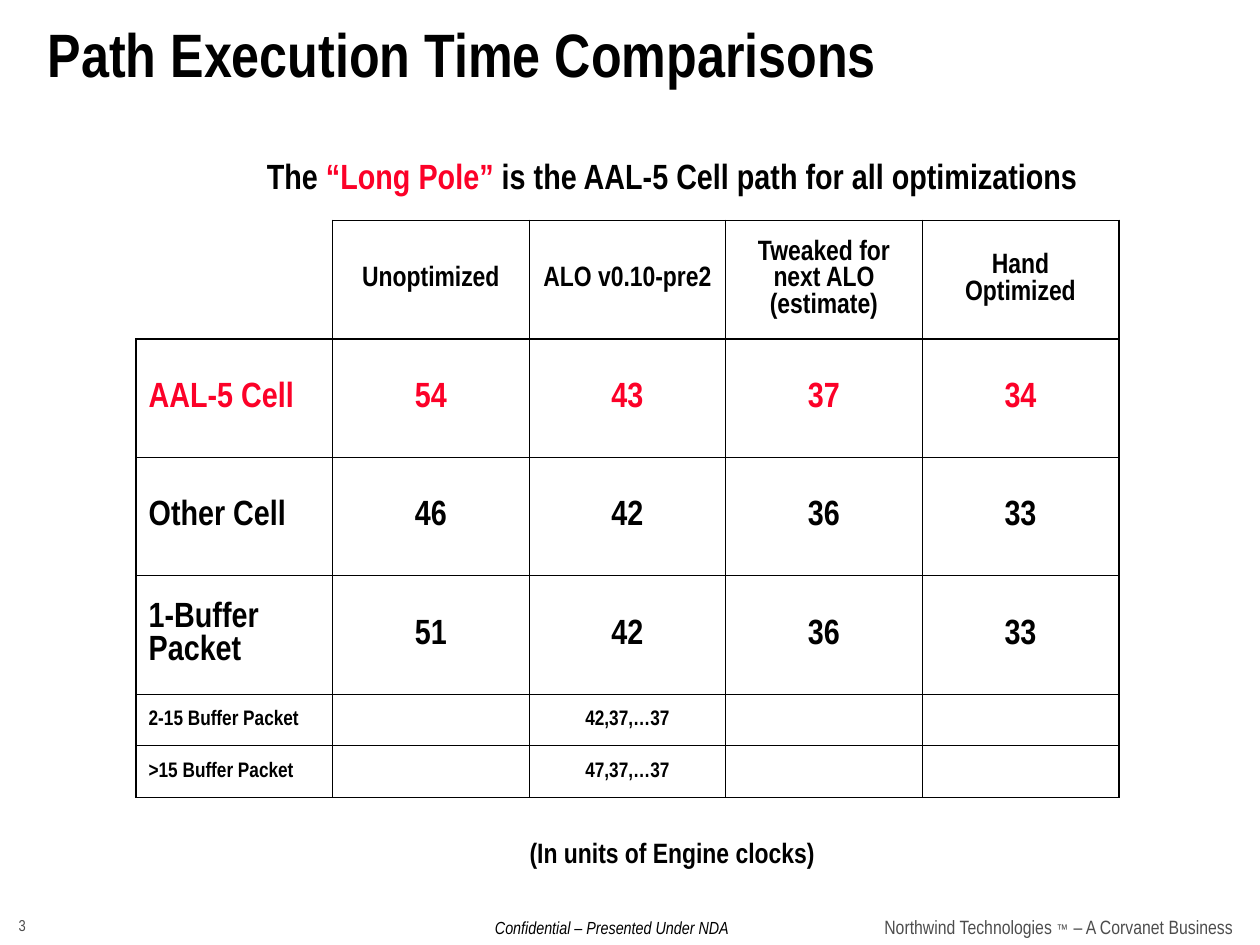
from pptx import Presentation
from pptx.dml.color import RGBColor
from pptx.enum.text import MSO_ANCHOR, MSO_AUTO_SIZE, PP_ALIGN
from pptx.oxml.ns import qn
from pptx.util import Inches, Pt
from lxml import etree

LEFT, CENTER = PP_ALIGN.LEFT, PP_ALIGN.CENTER
TOP, MIDDLE = MSO_ANCHOR.TOP, MSO_ANCHOR.MIDDLE
NO_AUTOFIT = MSO_AUTO_SIZE.NONE

BLACK = RGBColor(0x00, 0x00, 0x00)
RED = RGBColor(0xFC, 0x01, 0x28)
GRAY = RGBColor(0x4D, 0x4D, 0x4D)
FONT = "Arial Narrow"
THIN, THICK = 0.45, 1.08

TITLE = "Path Execution Time Comparisons"
SUBTITLE = [
    ("The ", {}),
    ("“Long Pole”", {"color": RED}),
    (" is the AAL-5 Cell path for all optimizations", {}),
]
UNITS = "(In units of Engine clocks)"
PAGE_NUMBER = "3"
CONFIDENTIAL = "Confidential – Presented Under NDA"
OWNER = [
    ("Northwind Technologies ", {}),
    ("™", {"size": 8}),
    (" ", {"font": "Arial"}),
    ("– A Corvanet Business", {}),
]

# Row height, text size, colour, cell texts
TABLE_ROWS = [
    (0.94, 16, BLACK, ["", "Unoptimized", "ALO v0.10-pre2",
                       "Tweaked for next ALO (estimate)", "Hand Optimized"]),
    (0.94, 20, RED, ["AAL-5 Cell", "54", "43", "37", "34"]),
    (0.94, 20, BLACK, ["Other Cell", "46", "42", "36", "33"]),
    (0.94, 20, BLACK, ["1-Buffer Packet", "51", "42", "36", "33"]),
    (0.41, 12, BLACK, ["2-15 Buffer Packet", "", "42,37,…37", "", ""]),
    (0.41, 12, BLACK, [">15 Buffer Packet", "", "47,37,…37", "", ""]),
]
COLUMN_WIDTH = 1.56


def write_text(frame, text, size, color=BLACK, font=FONT, bold=False, italic=False,
               align=LEFT, line_spacing=None, space_after=0):
    """Fill the first paragraph with a string or with (text, overrides) runs."""
    paragraph = frame.paragraphs[0]
    paragraph.alignment = align
    paragraph.space_before = Pt(0)
    paragraph.space_after = Pt(space_after)
    if line_spacing:
        paragraph.line_spacing = line_spacing
    runs = [(text, {})] if isinstance(text, str) else text
    for run_text, overrides in runs:
        run = paragraph.add_run()
        run.text = run_text
        run.font.name = overrides.get("font", font)
        run.font.size = Pt(overrides.get("size", size))
        run.font.color.rgb = overrides.get("color", color)
        run.font.bold = bold
        run.font.italic = italic


def add_text(slide, left, top, width, height, text, size, anchor=TOP, **style):
    box = slide.shapes.add_textbox(Inches(left), Inches(top), Inches(width), Inches(height))
    frame = box.text_frame
    frame.word_wrap = True
    frame.vertical_anchor = anchor
    write_text(frame, text, size, **style)


def set_borders(cell, widths):
    """Draw left, right, top and bottom borders; a width of None leaves a side open."""
    properties = cell._tc.get_or_add_tcPr()
    for position, (side, width) in enumerate(zip(("lnL", "lnR", "lnT", "lnB"), widths)):
        line = etree.Element(qn(f"a:{side}"))
        if width is None:
            etree.SubElement(line, qn("a:noFill"))
        else:
            line.set("w", str(Pt(width)))
            fill = etree.SubElement(line, qn("a:solidFill"))
            etree.SubElement(fill, qn("a:srgbClr")).set("val", str(BLACK))
        properties.insert(position, line)


def edge_widths(index, count):
    """Widths before and after a row or column: thick round the labels and the outside."""
    return (THICK if index <= 1 else THIN,
            THICK if index in (0, count - 1) else THIN)


def add_times_table(slide):
    row_count, column_count = len(TABLE_ROWS), len(TABLE_ROWS[0][3])
    height = sum(row[0] for row in TABLE_ROWS)
    table = slide.shapes.add_table(
        row_count, column_count, Inches(1.08), Inches(1.75),
        Inches(COLUMN_WIDTH * column_count), Inches(height)).table
    table.first_row = False
    table.horz_banding = False
    for column in table.columns:
        column.width = Inches(COLUMN_WIDTH)

    for r, (row_height, size, color, texts) in enumerate(TABLE_ROWS):
        table.rows[r].height = Inches(row_height)
        for c, text in enumerate(texts):
            cell = table.cell(r, c)
            cell.fill.background()
            cell.vertical_anchor = MIDDLE
            if text:
                write_text(cell.text_frame, text, size, color=color, bold=True,
                           align=CENTER if c else LEFT, space_after=size * 0.625)
            left, right = edge_widths(c, column_count)
            top, bottom = edge_widths(r, row_count)
            if r == c == 0:
                left = top = None
            set_borders(cell, (left, right, top, bottom))


def main():
    presentation = Presentation()
    presentation.slide_width, presentation.slide_height = Inches(10), Inches(7.5)
    slide = presentation.slides.add_slide(presentation.slide_layouts[5])

    title = slide.shapes.title
    title.left, title.top = Inches(0.28), Inches(0.14)
    title.width, title.height = Inches(7.31), Inches(0.67)
    title.text_frame.auto_size = NO_AUTOFIT
    title.text_frame.vertical_anchor = MIDDLE
    write_text(title.text_frame, TITLE, 35, bold=True, line_spacing=0.8)

    add_text(slide, 1.75, 1.18, 7.17, 0.44, SUBTITLE, 20, bold=True, align=CENTER)
    add_times_table(slide)
    add_text(slide, 2.92, 6.58, 4.83, 0.37, UNITS, 16, bold=True, align=CENTER)

    add_text(slide, 0.05, 7.22, 0.66, 0.25, PAGE_NUMBER, 9, color=GRAY, anchor=MIDDLE)
    add_text(slide, 3.68, 7.23, 2.35, 0.27, CONFIDENTIAL, 10, italic=True, align=CENTER)
    add_text(slide, 6.92, 7.21, 3.08, 0.29, OWNER, 11, color=GRAY, anchor=MIDDLE)

    presentation.save("out.pptx")


if __name__ == "__main__":
    main()
